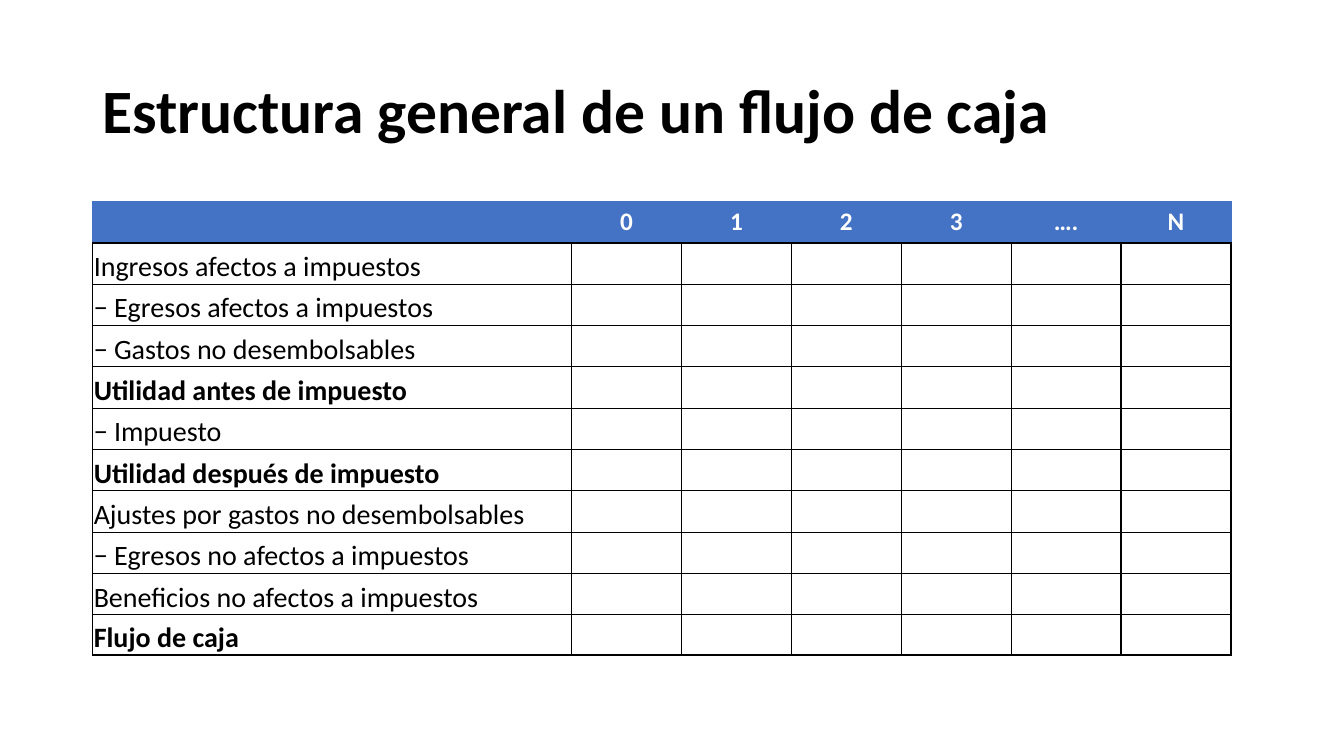
from dataclasses import dataclass

from lxml import etree
from pptx import Presentation
from pptx import util as u
from pptx.dml.color import RGBColor
from pptx.enum import text as t
from pptx.oxml import ns


@dataclass(frozen=True)
class Theme:
    font: str = "Calibri"
    ink: str = "000000"
    paper: str = "FFFFFF"
    blue: str = "4472C4"
    title: int = 44
    head: int = 18
    body: int = 20


def write(frame, words, size, color, font, bold=False, align=t.PP_ALIGN.LEFT, space=1.0):
    para = frame.paragraphs[0]
    para.alignment, para.line_spacing = align, space
    run = para.add_run()
    run.text = words
    run.font.name, run.font.size, run.font.bold = font, u.Pt(size), bold
    run.font.color.rgb = RGBColor.from_string(color)


def edge(cell, **sides):
    """Set cell borders; each side is a (color, points) pair."""
    props = cell._tc.get_or_add_tcPr()
    for spot, side in enumerate("LRTB"):
        color, width = sides[side]
        line = etree.Element(ns.qn(f"a:ln{side}"), w=str(u.Pt(width)))
        fill = etree.SubElement(line, ns.qn("a:solidFill"))
        etree.SubElement(fill, ns.qn("a:srgbClr"), val=color)
        props.insert(spot, line)


class Deck:
    def __init__(self, theme):
        self.theme = theme
        self.file = Presentation()
        self.file.slide_width, self.file.slide_height = u.Inches(13.33), u.Inches(7.5)
        self.slide = self.file.slides.add_slide(self.file.slide_layouts[6])
        fill = self.slide.background.fill
        fill.solid()
        fill.fore_color.rgb = RGBColor.from_string(theme.paper)

    def title(self, words, *box):
        frame = self.slide.shapes.add_textbox(*map(u.Inches, box)).text_frame
        frame.word_wrap = True
        frame.vertical_anchor = t.MSO_ANCHOR.MIDDLE
        write(frame, words, self.theme.title, self.theme.ink, self.theme.font,
              bold=True, space=0.9)

    def table(self, heads, items, left, top, widths, heights):
        box = map(u.Inches, (left, top, sum(widths), sum(heights)))
        grid = self.slide.shapes.add_table(len(heights), len(widths), *box).table
        grid.horz_banding = False
        for col, width in zip(grid.columns, widths):
            col.width = u.Inches(width)
        for row, height in zip(grid.rows, heights):
            row.height = u.Inches(height)
        for spot, words in enumerate(heads):
            self.head(grid.cell(0, spot), words)
        for row, (words, bold) in enumerate(items, 1):
            for col in range(len(widths)):
                self.body(grid.cell(row, col), "" if col else words, bold)

    def head(self, cell, words):
        look = self.theme
        cell.fill.solid()
        cell.fill.fore_color.rgb = RGBColor.from_string(look.blue)
        cell.vertical_anchor = t.MSO_ANCHOR.MIDDLE
        rim = (look.blue, 0.5)
        edge(cell, L=rim, R=rim, T=rim, B=(look.ink, 1))
        if words:
            write(cell.text_frame, words, look.head, look.paper, look.font,
                  bold=True, align=t.PP_ALIGN.CENTER)

    def body(self, cell, words, bold):
        look = self.theme
        cell.fill.background()
        cell.vertical_anchor = t.MSO_ANCHOR.BOTTOM
        cell.margin_left = cell.margin_right = cell.margin_top = u.Inches(0.01)
        cell.margin_bottom = 0
        edge(cell, **dict.fromkeys("LRTB", (look.ink, 1)))
        if words:
            write(cell.text_frame, words, look.body, look.ink, look.font, bold=bold)


deck = Deck(Theme())

# Title
deck.title("Estructura general de un flujo de caja", 0.92, 0.4, 11.5, 1.45)

# Cash flow table: concepts by period, totals in bold
periods = ["", "0", "1", "2", "3", "….", "N"]
concepts = [
    ("Ingresos afectos a impuestos", False),
    ("− Egresos afectos a impuestos", False),
    ("− Gastos no desembolsables", False),
    ("Utilidad antes de impuesto", True),
    ("− Impuesto", False),
    ("Utilidad después de impuesto", True),
    ("Ajustes por gastos no desembolsables", False),
    ("− Egresos no afectos a impuestos", False),
    ("Beneficios no afectos a impuestos", False),
    ("Flujo de caja", True),
]
deck.table(periods, concepts, 0.92, 2,
           widths=[4.75] + [1.09] * 6,
           heights=[0.41] * 10 + [0.4])

deck.file.save("out.pptx")
